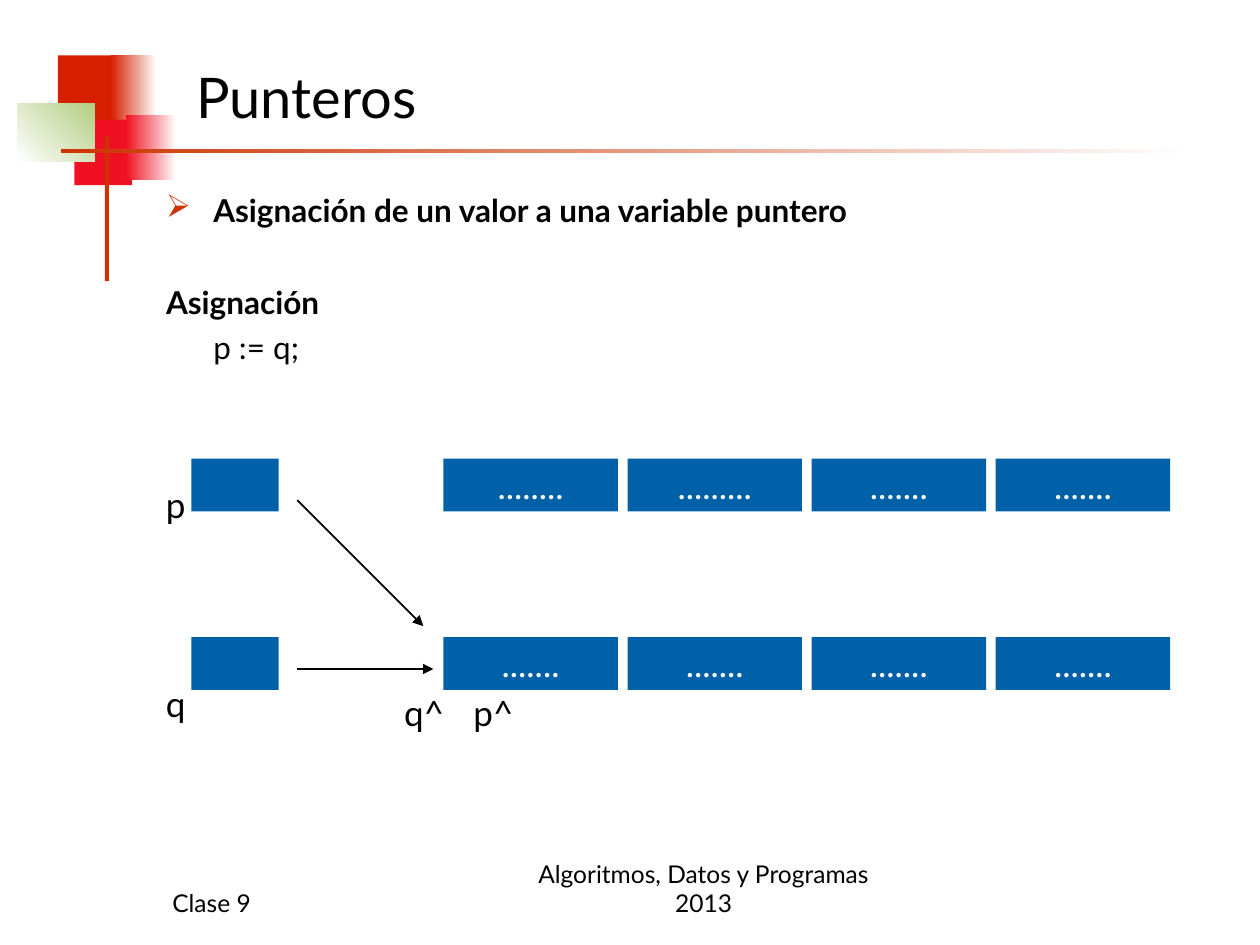
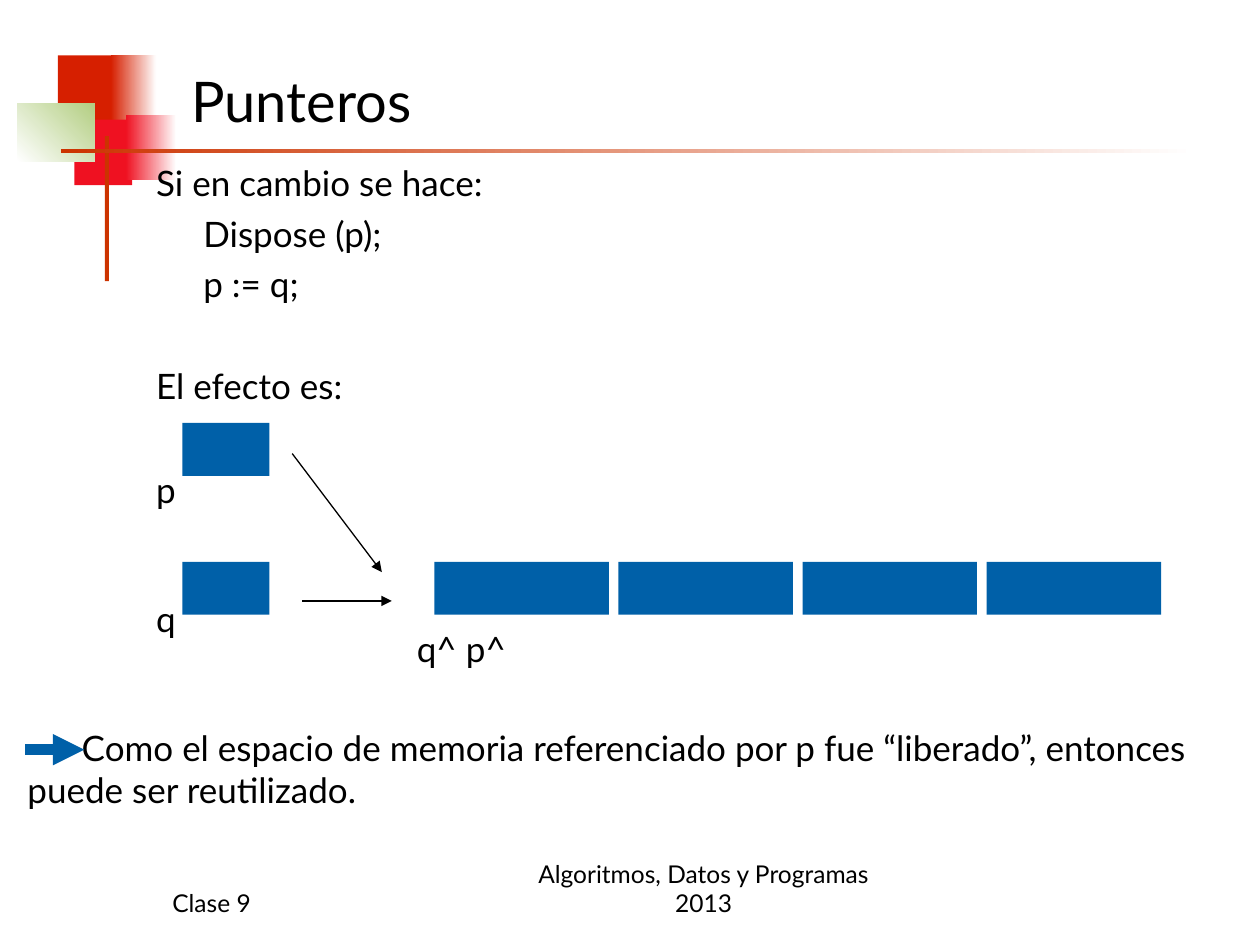
from lxml import etree
from pptx import Presentation
from pptx.dml.color import RGBColor
from pptx.enum.shapes import MSO_CONNECTOR, MSO_SHAPE
from pptx.enum.text import MSO_ANCHOR, PP_ALIGN
from pptx.oxml.ns import qn
from pptx.util import Pt

RECT = MSO_SHAPE.RECTANGLE
LINE = MSO_CONNECTOR.STRAIGHT
TOP, MID, LOW = MSO_ANCHOR.TOP, MSO_ANCHOR.MIDDLE, MSO_ANCHOR.BOTTOM
LEFT, CENTER, JUST = PP_ALIGN.LEFT, PP_ALIGN.CENTER, PP_ALIGN.JUSTIFY

FONT = "Lato"
COLORS = {
    "ink": "000000",
    "white": "FFFFFF",
    "blue": "0060A8",
    "brick": "D61F00",
    "red": "EF1121",
    "green": "B3CE82",
    "rust": "CC3300",
}
DECOR = [
    (33.1, 31.7, 34.6, 37.4, "brick", None, 0),
    (63.4, 31.7, 25.9, 37.4, "brick", "white", 0),
    (42.5, 68.4, 33.1, 37.4, "red", None, 0),
    (72, 65.5, 28.8, 37.4, "red", "white", 0),
    (10, 59, 44, 33.1, "white", "green", 45),
    (59.9, 77.8, 2.3, 82.8, "rust", None, 0),
    (34.6, 85, 648, 2.3, "rust", "white", 0),
]
CELL, RECORD, HIGH = 49.8, 99.7, 30.2
REACH, STEP = 144, 105.2
INDENT = 27


def color(name):
    return RGBColor.from_string(COLORS[name])


def text(frame, words, size=20, tint="ink", bold=False, align=LEFT,
         before=0, margin=0, first=0, bullet=None):
    para = frame.add_paragraph() if frame.text else frame.paragraphs[0]
    para.alignment = align
    para.space_before = Pt(before)
    props = para._p.get_or_add_pPr()
    props.set("marL", str(Pt(margin)))
    props.set("indent", str(Pt(first)))
    if bullet:
        shade = etree.SubElement(props, qn("a:buClr"))
        etree.SubElement(shade, qn("a:srgbClr"), val=COLORS["rust"])
        etree.SubElement(props, qn("a:buChar"), char=bullet)
    run = para.add_run()
    run.text = words
    run.font.name = FONT
    run.font.size = Pt(size)
    run.font.bold = bold
    run.font.color.rgb = color(tint)


def box(slide, x, y, w, h, anchor=TOP):
    frame = slide.shapes.add_textbox(Pt(x), Pt(y), Pt(w), Pt(h)).text_frame
    frame.word_wrap = True
    frame.vertical_anchor = anchor
    return frame


def rect(slide, x, y, w, h, fill, fade=None, angle=0):
    shape = slide.shapes.add_shape(RECT, Pt(x), Pt(y), Pt(w), Pt(h))
    shape.shadow.inherit = False
    shape.line.fill.background()
    if fade:
        shape.fill.gradient()
        shape.fill.gradient_angle = angle
        for stop, name in zip(shape.fill.gradient_stops, (fill, fade)):
            stop.color.rgb = color(name)
    else:
        shape.fill.solid()
        shape.fill.fore_color.rgb = color(fill)
    return shape


def arrow(slide, x1, y1, x2, y2, width=1, tint="ink"):
    line = slide.shapes.add_connector(LINE, Pt(x1), Pt(y1), Pt(x2), Pt(y2))
    line.line.width = Pt(width)
    line.line.color.rgb = color(tint)
    etree.SubElement(line.line._get_or_add_ln(), qn("a:tailEnd"), type="triangle")
    etree.SubElement(line._element.spPr, qn("a:effectLst"))


def cell(slide, x, y):
    rect(slide, x, y, CELL, HIGH, "blue")


def row(slide, x, y, marks):
    cell(slide, x, y)
    for i, dots in enumerate(marks):
        shape = rect(slide, x + REACH + i * STEP, y, RECORD, HIGH, "blue")
        if dots:
            frame = shape.text_frame
            frame.word_wrap = False
            frame.vertical_anchor = MID
            text(frame, dots, tint="white", align=CENTER)


def labels(slide, items):
    for words, x, y in items:
        text(box(slide, x, y, 52, 31.7), words)


def base(deck, title):
    slide = deck.slides.add_slide(deck.slide_layouts[6])
    for part in DECOR:
        rect(slide, *part)
    text(box(slide, *title, anchor=MID), "Punteros", size=32)
    text(box(slide, 91.4, 491.8, 149.8, 36, LOW), "Clase 9", size=14)
    text(box(slide, 288, 491.8, 228.2, 36, LOW),
         "Algoritmos, Datos y Programas 2013", size=14, align=CENTER)
    return slide


def assign(deck):
    slide = base(deck, (105.1, 20.2, 589.7, 69.1))
    body = box(slide, 87.8, 105.8, 517.7, 414)
    text(body, "Asignación de un valor a una variable puntero", size=18,
         bold=True, align=JUST, margin=INDENT, first=-INDENT, bullet="➢")
    text(body, "Asignación", size=18, bold=True, align=JUST, before=30.6)
    text(body, "p := q;", size=18, align=JUST, before=4.5, margin=INDENT)
    row(slide, 109.4, 262.1, ["." * n for n in (8, 9, 7, 7)])
    row(slide, 109.4, 364.1, ["." * 7] * 4)
    labels(slide, [("p", 87.8, 272.9), ("q", 87.8, 386.6),
                   ("q^", 223.9, 391.7), ("p^", 263.5, 391.7)])
    arrow(slide, 169.9, 285.8, 241.9, 357.8)
    arrow(slide, 169.9, 382.3, 247.7, 382.3)


def dispose(deck):
    slide = base(deck, (102.2, 16.6, 595.4, 81.4))
    body = box(slide, 82.1, 88.6, 547.9, 159.1)
    text(body, "Si en cambio se hace:")
    for code in ("Dispose (p);", "p := q;"):
        text(body, code, before=5, margin=INDENT)
    text(body, "El efecto es:", before=34)
    cell(slide, 104.2, 241.7)
    row(slide, 104.2, 321.1, [""] * 4)
    labels(slide, [("p", 82.1, 264.2), ("q", 82.1, 337.7),
                   ("q^", 231.1, 355), ("p^", 259.2, 355)])
    arrow(slide, 172.8, 343.4, 223.9, 343.4, width=0.75)
    arrow(slide, 167, 259.2, 218.2, 326.9, width=0.75)
    text(box(slide, 8.6, 411.8, 691.9, 55.4),
         "Como el espacio de memoria referenciado por p fue “liberado”, "
         "entonces puede ser reutilizado.", first=31)
    arrow(slide, 14.4, 428.4, 48.2, 428.4, width=6, tint="blue")


def main():
    deck = Presentation()
    deck.slide_width, deck.slide_height = Pt(720), Pt(540)
    assign(deck)
    dispose(deck)
    deck.save("out.pptx")


if __name__ == "__main__":
    main()
